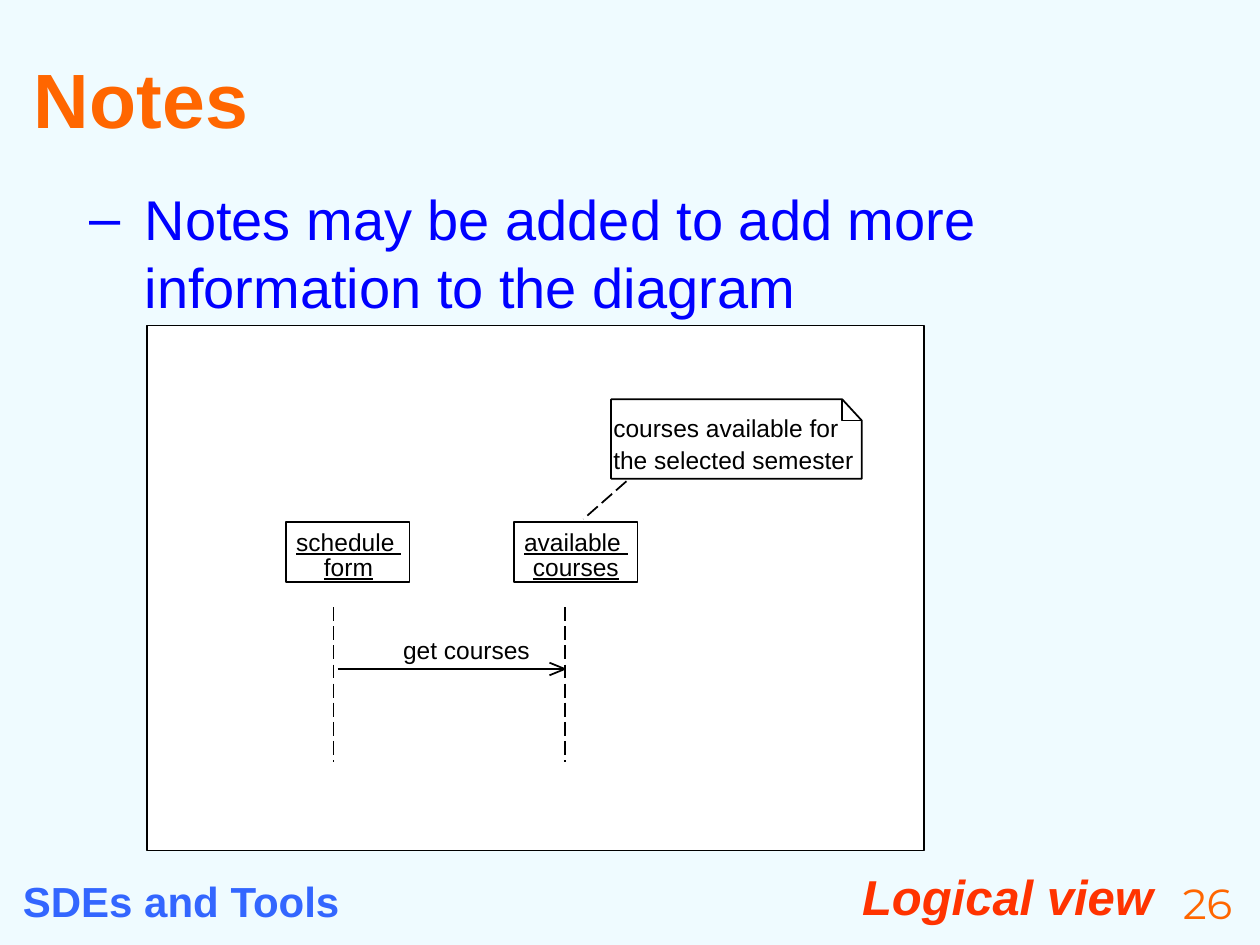
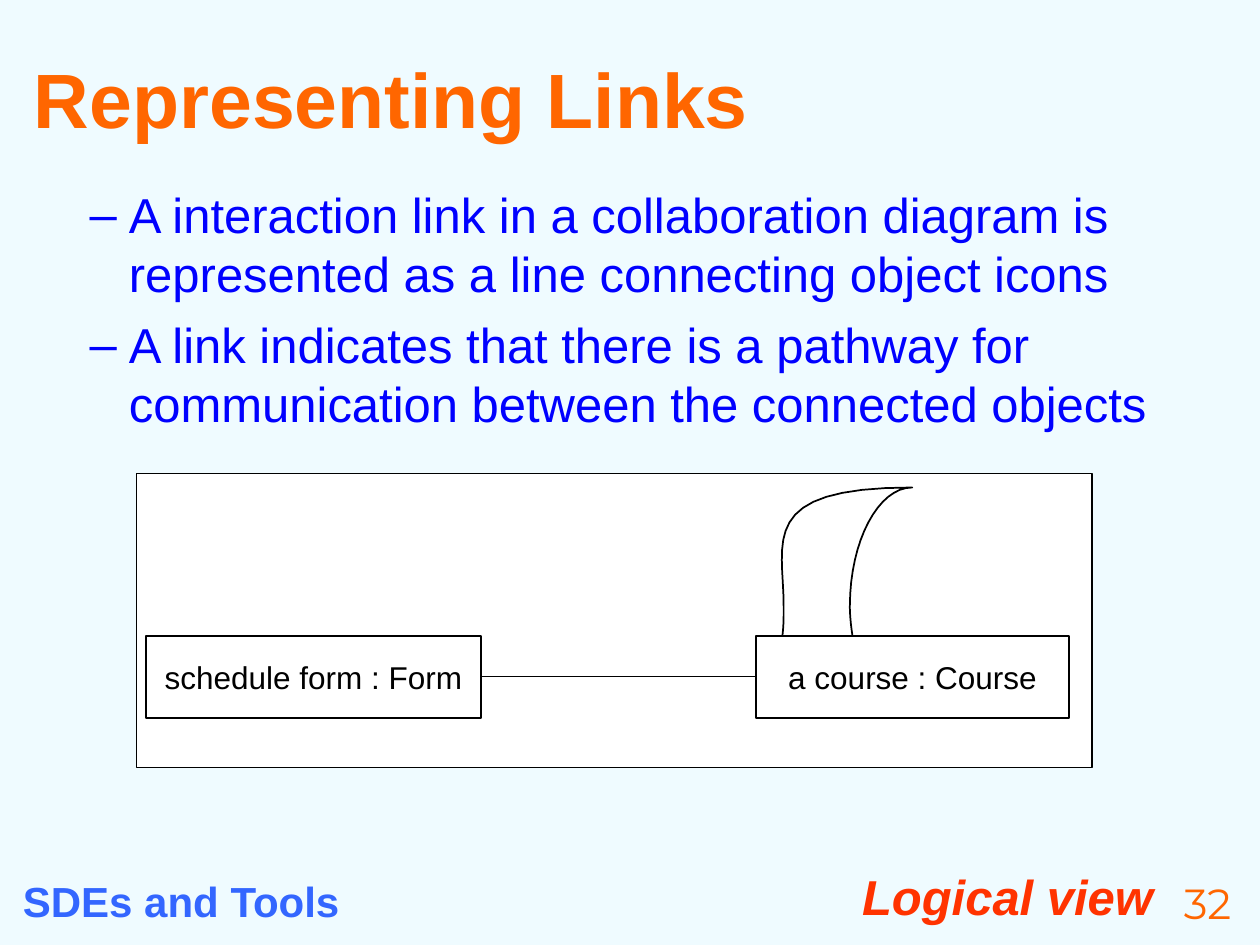
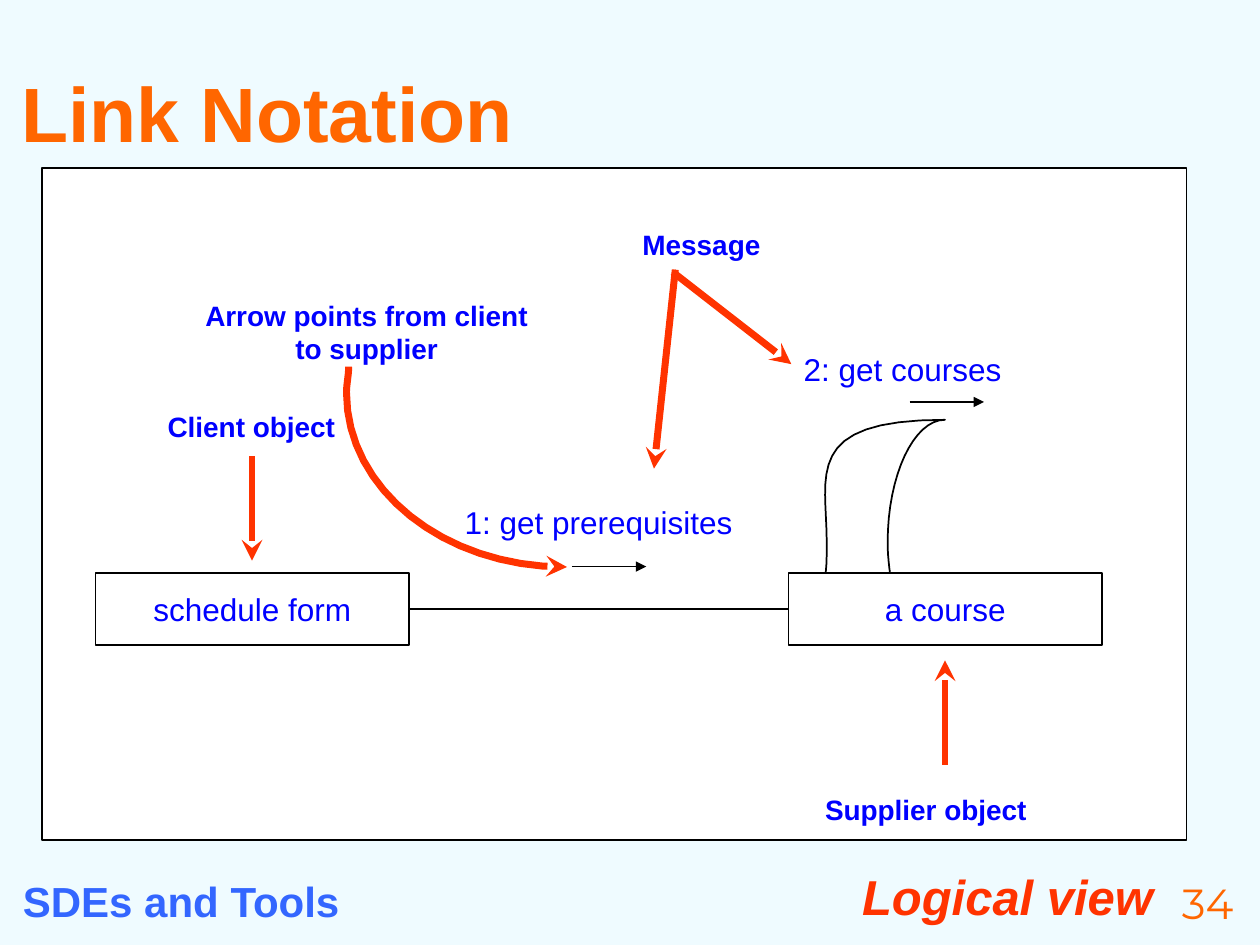
from typing import NamedTuple

import pptx
import pptx.dml.color
import pptx.enum.dml
import pptx.enum.shapes
import pptx.enum.text
import pptx.oxml
import pptx.oxml.ns
import pptx.util
from lxml import etree

Pt = pptx.util.Pt
RGBColor = pptx.dml.color.RGBColor
ALIGN = pptx.enum.text.PP_ALIGN
ANCHOR = pptx.enum.text.MSO_ANCHOR
qn = pptx.oxml.ns.qn

# Shared colours and fonts
PALE_BLUE = RGBColor(0xEF, 0xFB, 0xFF)
WHITE = RGBColor(0xFF, 0xFF, 0xFF)
BLACK = RGBColor(0x00, 0x00, 0x00)
BLUE = RGBColor(0x00, 0x00, 0xFF)
FOOTER_BLUE = RGBColor(0x33, 0x66, 0xFF)
ORANGE = RGBColor(0xFF, 0x66, 0x00)
RED = RGBColor(0xFF, 0x33, 0x00)

# Text formats
TITLE = dict(name="Arial", size=Pt(44), bold=True, color=ORANGE)
COURSE = dict(name="Arial", size=Pt(24), bold=True, color=FOOTER_BLUE)
SECTION = dict(name="Arial", size=Pt(28), bold=True, italic=True, color=RED)
NUMBER = dict(name="Montserrat", size=Pt(24), color=ORANGE)
SMALL = dict(name="Arial", size=Pt(14), color=BLACK)
OBJECT_NAME = dict(SMALL, underline=True)
ICON = dict(name="Arial", size=Pt(18), color=BLACK)
BLUE_ICON = dict(ICON, color=BLUE)
CALLOUT = dict(name="Arial", size=Pt(16), bold=True, color=BLUE)

# Line formats
THIN = dict(color=BLACK, width=1)
DASHED = dict(THIN, dash=pptx.enum.dml.MSO_LINE.LONG_DASH)
MESSAGE_ARROW = dict(THIN, arrow="triangle")
POINTER = dict(color=RED, width=4, arrow="stealth")

# Cubic curves as fractions of their box: a start, then three points a piece
SELF_LINK = [(0.54, 1), (0.53, 0.94), (0.52, 0.87), (0.52, 0.8),
             (0.52, 0.36), (0.74, 0), (1, 0),
             (-0.2, 0), (0.01, 0.36), (0.01, 0.8),
             (0.01, 0.87), (0.01, 0.94), (0, 1)]
SWEEP = [(0.01, 0), (0.01, 0.04), (0, 0.09), (0, 0.13),
         (0, 0.61), (0.44, 1), (0.99, 1),
         (0.99, 1), (1, 1), (1, 1)]
CURVE_STEPS = 16


class Frame(NamedTuple):
    """A region of a page, in points; its parts are placed from its corner."""
    page: object
    left: float
    top: float
    width: float
    height: float

    def point(self, x, y):
        return Pt(self.left + x), Pt(self.top + y)

    def box(self, x, y, width, height):
        return *self.point(x, y), Pt(width), Pt(height)


# Text helpers
def set_font(font, style):
    for key, value in style.items():
        if key == "color":
            font.color.rgb = value
        else:
            setattr(font, key, value)


def write(para, text, style, align=None):
    span = para.add_run()
    span.text = text
    set_font(span.font, style)
    para.alignment = align


def add_label(frame, spot, text, style, align=None, wrap=False):
    label = frame.page.shapes.add_textbox(*frame.box(*spot))
    label.text_frame.word_wrap = wrap
    label.text_frame.auto_size = pptx.enum.text.MSO_AUTO_SIZE.NONE
    write(label.text_frame.paragraphs[0], text, style, align)
    return label


# Drawing helpers
def style_line(shape, color, width, dash=None, arrow=None):
    shape.line.color.rgb = color
    shape.line.width = Pt(width)
    if dash:
        shape.line.dash_style = dash
    if arrow:
        outline = shape.element.spPr.find(qn("a:ln"))
        etree.SubElement(outline, qn("a:tailEnd"), type=arrow)


def add_line(frame, start, end, style):
    line = frame.page.shapes.add_connector(
        pptx.enum.shapes.MSO_CONNECTOR.STRAIGHT, *frame.point(*start), *frame.point(*end))
    style_line(line, **style)
    etree.SubElement(line.element.spPr, qn("a:effectLst"))


def add_rectangle(frame, spot, fill=None, width=1):
    rectangle = frame.page.shapes.add_shape(
        pptx.enum.shapes.MSO_SHAPE.RECTANGLE, *frame.box(*spot))
    rectangle.shadow.inherit = False
    if fill is None:
        rectangle.fill.background()
    else:
        rectangle.fill.solid()
        rectangle.fill.fore_color.rgb = fill
    style_line(rectangle, BLACK, width)
    return rectangle


def add_outline(frame, points, style):
    places = [frame.point(*point) for point in points]
    builder = frame.page.shapes.build_freeform(*places[0])
    builder.add_line_segments(places[1:], close=False)
    outline = builder.convert_to_shape()
    outline.shadow.inherit = False
    outline.fill.background()
    style_line(outline, **style)


def curve_points(controls):
    """Sample the cubic pieces of a curve."""
    points = [controls[0]]
    for first in range(0, len(controls) - 1, 3):
        piece = controls[first:first + 4]
        for step in range(1, CURVE_STEPS + 1):
            t = step / CURVE_STEPS
            weights = ((1 - t) ** 3, 3 * t * (1 - t) ** 2, 3 * t * t * (1 - t), t ** 3)
            points.append(tuple(sum(weight * control[axis] for weight, control in zip(weights, piece))
                                for axis in (0, 1)))
    return points


def add_curve(frame, spot, controls, style):
    left, top, width, height = spot
    add_outline(frame, [(left + x * width, top + y * height)
                        for x, y in curve_points(controls)], style)


def add_icon(frame, spot, text, style):
    icon = add_rectangle(frame, spot)
    icon.text_frame.word_wrap = False
    icon.text_frame.vertical_anchor = ANCHOR.MIDDLE
    write(icon.text_frame.paragraphs[0], text, style, ALIGN.CENTER)


# Shared page parts
def set_master(deck, page):
    """Give the master its background and the two footer texts."""
    master = deck.slide_master
    master.background.fill.solid()
    master.background.fill.fore_color.rgb = PALE_BLUE
    frame = Frame(page, 0, 486, 720, 54)
    footers = [add_label(frame, (270, 5.8, 396, 37.5), "Logical view", SECTION, ALIGN.RIGHT, True),
               add_label(frame, (6, 10.8, 342, 31.7), "SDEs and Tools", COURSE, wrap=True)]
    for number, footer in enumerate(footers, 20):
        footer.element.nvSpPr.cNvPr.set("id", str(number))
        master.shapes.element.append(footer.element)


def add_page(deck, layout, title, number, at_bottom=False):
    page = deck.slides.add_slide(deck.slide_layouts.get_by_name(layout))
    if len(deck.slides) == 1:
        set_master(deck, page)
    frame = Frame(page, 0, 0, 720, 540)
    heading = page.shapes.title
    heading.left, heading.top, heading.width, heading.height = frame.box(12.2, 21.6, 701.3, 68.4)
    area = heading.text_frame
    area.auto_size = pptx.enum.text.MSO_AUTO_SIZE.NONE
    area.vertical_anchor = ANCHOR.BOTTOM if at_bottom else ANCHOR.MIDDLE
    if at_bottom:
        for side in ("left", "top", "right", "bottom"):
            setattr(area, f"margin_{side}", 0)
    write(area.paragraphs[0], title, TITLE, ALIGN.LEFT)
    add_label(frame, (666, 498.2, 48.2, 31.7), number, NUMBER, ALIGN.CENTER, True)
    return page


def fill_body(frame, texts, size, margin, hanging, gap):
    body = frame.page.placeholders[1]
    body.left, body.top, body.width, body.height = frame.box(0, 0, frame.width, frame.height)
    body.text_frame.auto_size = pptx.enum.text.MSO_AUTO_SIZE.NONE
    for index, text in enumerate(texts):
        para = body.text_frame.add_paragraph() if index else body.text_frame.paragraphs[0]
        para.level = 1
        properties = para._p.get_or_add_pPr()
        properties.set("marL", str(Pt(margin)))
        properties.set("indent", str(-Pt(hanging)))
        color = etree.SubElement(properties, qn("a:buClr"))
        etree.SubElement(color, qn("a:srgbClr"), val=str(BLUE))
        etree.SubElement(properties, qn("a:buFont"), typeface="Arial")
        etree.SubElement(properties, qn("a:buChar"), char="–")
        para.space_before = Pt(gap if index else 0)
        write(para, text, dict(name="Arial", size=Pt(size), color=BLUE), ALIGN.LEFT)


def add_panel(frame):
    add_rectangle(frame, (0, 0, frame.width, frame.height), WHITE, 0.75)


# Sequence diagram with a note
def add_participant(frame, left, lines, second_indent, lifeline):
    add_rectangle(frame, (left, 112.1, 70.5, 34.6))
    add_label(frame, (left - 1.4, 111.4, 74.6, 23.8), lines[0], OBJECT_NAME)
    add_label(frame, (left + second_indent, 125.8, 70.5 - 2 * second_indent + 0.8, 23.8),
              lines[1], OBJECT_NAME)
    add_line(frame, (lifeline, 161), (lifeline, 249.6), DASHED)


def add_note(frame, left, top, width, height):
    fold_x, fold_y = left + width - 11.2, top + 12.2
    right, bottom = left + width, top + height
    add_outline(frame, [(left, top), (fold_x, top), (right, fold_y), (right, bottom),
                        (left, bottom), (left, top)], THIN)
    add_outline(frame, [(fold_x, top), (fold_x, fold_y), (right, fold_y)], THIN)
    for row, text in enumerate(["courses available for", "the selected semester"]):
        add_label(frame, (left - 5.8, top + 4.4 + 18 * row, 151.2, 23.8), text, SMALL)


def draw_sequence(frame):
    add_panel(frame)
    caller, supplier, level = 106.6, 238.8, 196.3
    add_participant(frame, 79.6, ["schedule ", "form"], 14.4, caller)
    add_participant(frame, 209.8, ["available ", "courses"], 3.6, supplier)
    add_label(frame, (139.2, 173.3, 87.1, 23.8), "get courses", SMALL)
    add_line(frame, (109, level), (supplier, level), THIN)
    for rise in (-3.6, 3.6):
        add_line(frame, (supplier, level), (supplier - 8.8, level + rise), THIN)
    add_line(frame, (274, 89), (249.4, 110.6), DASHED)
    add_note(frame, 265.2, 42.2, 143.3, 45.4)


# Two linked objects
def draw_links(frame):
    add_panel(frame)
    add_icon(frame, (5.5, 93, 191.2, 46.8), "schedule form : Form", ICON)
    add_icon(frame, (353.8, 93, 179.3, 46.8), "a course : Course", ICON)
    add_curve(frame, (369.1, 8, 74.2, 84.8), SELF_LINK, THIN)
    add_line(frame, (197, 116), (353.3, 116), THIN)


# Linked objects with the notation explained
def draw_notation(frame):
    add_panel(frame)
    for left, text in [(30.5, "schedule form"), (426.5, "a course")]:
        add_icon(frame, (left, 231.5, 179.3, 41.2), text, BLUE_ICON)
    add_curve(frame, (447.8, 143.9, 68.2, 87.8), SELF_LINK, THIN)
    add_line(frame, (210, 252), (426, 252), THIN)

    callouts = [
        ((440.4, 353.3, 151.2, 26.3), "Supplier object", ALIGN.LEFT),
        ((336, 30.7, 92.2, 26.3), "Message", ALIGN.LEFT),
        ((83.3, 71, 204.5, 45.4), "Arrow points from client to supplier", ALIGN.CENTER),
        ((58.8, 134.4, 121.7, 26.3), "Client object", ALIGN.CENTER),
    ]
    for spot, text, align in callouts:
        add_label(frame, spot, text, CALLOUT, align, True)

    pointers = [((361.9, 58.1), (349.7, 171.8)), ((360.5, 59.5), (428.2, 112.1)),
                ((516, 341), (516, 281.3)), ((120, 164.6), (120, 224.4))]
    for start, end in pointers:
        add_line(frame, start, end, POINTER)
    add_curve(frame, (174, 113.5, 126, 114.5), SWEEP, POINTER)

    messages = [((234.5, 187.7, 167.8, 28.8), "1: get prerequisites", (302.8, 227.8)),
                ((428.2, 100.6, 127.4, 28.8), "2: get courses", (495.8, 133.7))]
    for spot, text, (x, y) in messages:
        add_label(frame, spot, text, BLUE_ICON)
        add_line(frame, (x, y), (x + 42.5, y), MESSAGE_ARROW)


def main():
    deck = pptx.Presentation()
    deck.slide_width, deck.slide_height = Pt(720), Pt(540)

    page = add_page(deck, "Title and Content", "Notes", "26")
    draw_sequence(Frame(page, 84, 186, 444, 300))
    fill_body(Frame(page, 8, 102, 698, 384),
              ["Notes may be added to add more information to the diagram"],
              32, 67.5, 31.5, 8)

    page = add_page(deck, "Title and Content", "Representing Links", "32")
    draw_links(Frame(page, 78, 270.6, 546, 168))
    fill_body(Frame(page, 8, 102, 698, 150),
              ["A interaction link in a collaboration diagram is represented as a line "
               "connecting object icons",
               "A link indicates that there is a pathway for communication between the "
               "connected objects"],
              28, 58.5, 22.5, 7)

    page = add_page(deck, "Title Only", "Link Notation", "34", at_bottom=True)
    draw_notation(Frame(page, 24, 96, 654, 384))

    deck.save("out.pptx")


if __name__ == "__main__":
    main()
